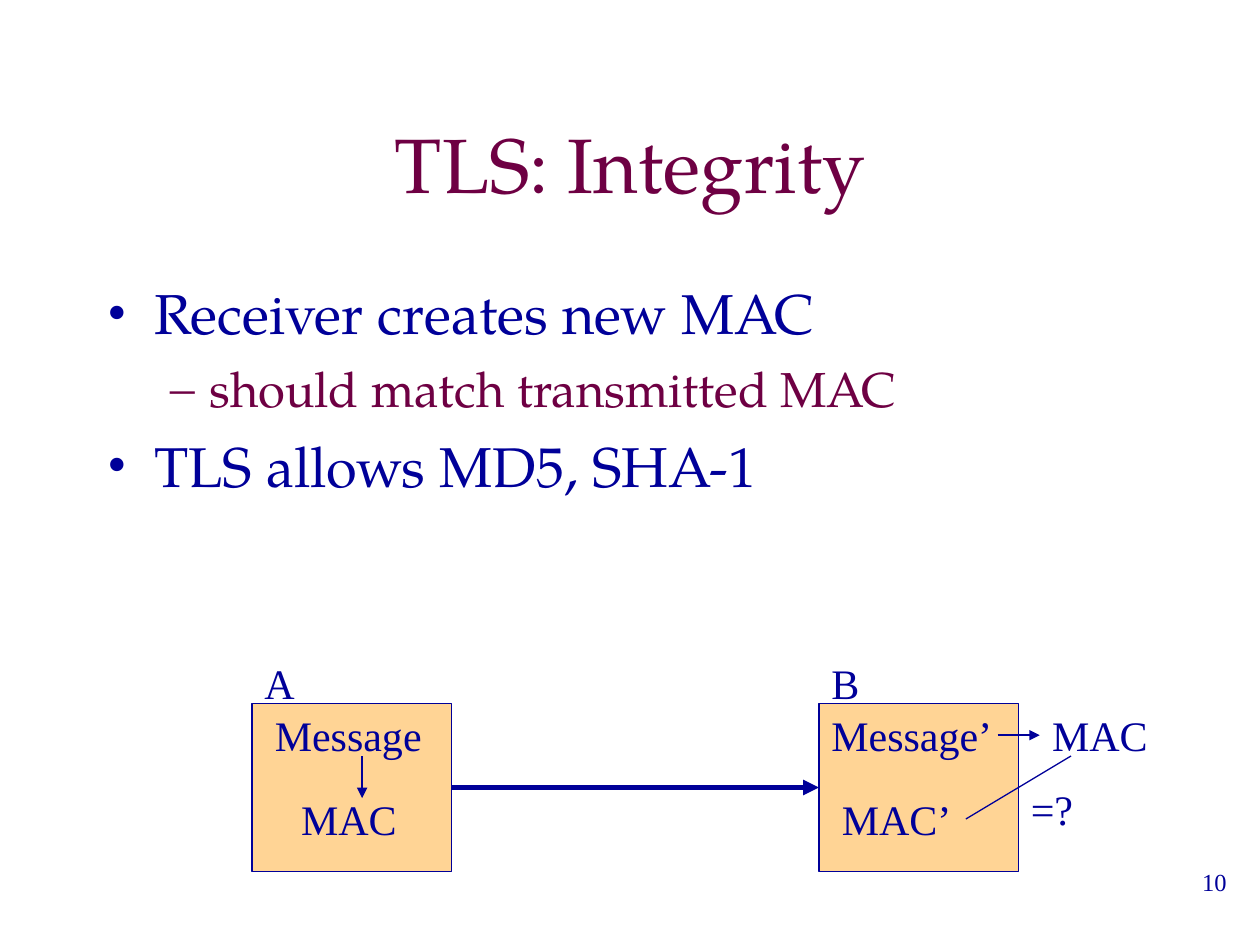
from dataclasses import dataclass

from lxml.etree import SubElement
from pptx import Presentation
from pptx.dml.color import RGBColor
from pptx.enum.shapes import MSO_CONNECTOR, MSO_SHAPE
from pptx.enum.text import MSO_ANCHOR, PP_ALIGN
from pptx.oxml.ns import qn
from pptx.util import Cm, Pt


@dataclass(frozen=True)
class Theme:
    navy: str = "000099"
    plum: str = "6E0043"
    sand: str = "FFD495"
    serif: str = "TeX Gyre Pagella"
    roman: str = "Times New Roman"
    title: int = 44
    point: int = 32
    sub: int = 28
    label: int = 24
    page: int = 14


class Deck:
    def __init__(self, theme):
        self.theme = theme
        self.file = Presentation()
        self.file.slide_width, self.file.slide_height = Cm(25.4), Cm(19.05)
        self.slide = self.file.slides.add_slide(self.file.slide_layouts[6])

    def frame(self, x, y, wide, high, anchor=MSO_ANCHOR.TOP):
        box = self.slide.shapes.add_textbox(Cm(x), Cm(y), Cm(wide), Cm(high))
        frame = box.text_frame
        frame.word_wrap = True
        frame.vertical_anchor = anchor
        return frame

    def run(self, para, text, size, color, font):
        run = para.add_run()
        run.text = text
        run.font.size = Pt(size)
        run.font.name = font
        run.font.color.rgb = RGBColor.from_string(color)

    def title(self, text, x, y, wide, high):
        para = self.frame(x, y, wide, high, MSO_ANCHOR.MIDDLE).paragraphs[0]
        para.alignment = PP_ALIGN.CENTER
        self.run(para, text, self.theme.title, self.theme.plum, self.theme.serif)

    def bullets(self, items, x, y, wide, high):
        t = self.theme
        # Per level: mark, size, color, left margin, hanging indent, space before
        levels = (("•", t.point, t.navy, 0.95, 0.95, 8),
                  ("–", t.sub, t.plum, 2.06, 0.79, 7))
        frame = self.frame(x, y, wide, high)
        for i, (level, text) in enumerate(items):
            mark, size, color, left, hang, gap = levels[level]
            para = frame.add_paragraph() if i else frame.paragraphs[0]
            para.level = level
            para.space_before = Pt(gap)
            self.run(para, text, size, color, t.serif)
            props = para._p.get_or_add_pPr()
            props.set("marL", str(Cm(left)))
            props.set("indent", str(-Cm(hang)))
            tint = SubElement(props, qn("a:buClr"))
            SubElement(tint, qn("a:srgbClr"), val=color)
            SubElement(props, qn("a:buFont"), typeface=t.roman)
            SubElement(props, qn("a:buChar"), char=mark)

    def label(self, text, x, y, wide, size=None, align=PP_ALIGN.LEFT):
        para = self.frame(x, y, wide, 1.27).paragraphs[0]
        para.alignment = align
        self.run(para, text, size or self.theme.label, self.theme.navy,
                 self.theme.roman)

    def block(self, x, y, wide, high):
        box = self.slide.shapes.add_shape(
            MSO_SHAPE.RECTANGLE, Cm(x), Cm(y), Cm(wide), Cm(high))
        box.shadow.inherit = False
        box.fill.solid()
        box.fill.fore_color.rgb = RGBColor.from_string(self.theme.sand)
        box.line.color.rgb = RGBColor.from_string(self.theme.navy)
        box.line.width = Pt(0.75)
        return box

    def line(self, start, end, width, arrow=True):
        link = self.slide.shapes.add_connector(
            MSO_CONNECTOR.STRAIGHT, *map(Cm, start + end))
        link.line.color.rgb = RGBColor.from_string(self.theme.navy)
        link.line.width = Pt(width)
        if arrow:
            SubElement(link.line._ln, qn("a:tailEnd"), type="triangle")
        SubElement(link._element.spPr, qn("a:effectLst"))
        return link

    def save(self):
        self.file.save("out.pptx")


def main():
    theme = Theme()
    deck = Deck(theme)

    # Title and points
    deck.title("TLS: Integrity", 1.91, 1.69, 21.59, 3.18)
    deck.bullets([(0, "Receiver creates new MAC"),
                  (1, "should match transmitted MAC"),
                  (0, "TLS allows MD5, SHA-1")], 1.91, 5.5, 21.59, 11.43)

    # Sender and receiver blocks, joined by an arrow
    left, right, top, wide, high = 5.08, 16.51, 14.18, 4.02, 3.39
    mid = top + high / 2
    ends = []
    for name, x in (("A", left), ("B", right)):
        deck.label(name, x, 13.12, 3.18)
        ends.append(deck.block(x, top, wide, high))
    send = deck.line((left + wide, mid), (right, mid), 3)
    send.begin_connect(ends[0], 3)
    send.end_connect(ends[1], 1)

    # Words in and beside the blocks
    for text, x, y, span in (("Message", 5.29, top, wide),
                             ("MAC", 5.82, mid, 2.96),
                             ("Message’", right, top, wide),
                             ("MAC’", 16.72, mid, 2.96),
                             ("MAC", 20.96, top, 2.96),
                             ("=?", 20.53, 15.66, 1.48)):
        deck.label(text, x, y, span)

    # Hash steps and the final check
    deck.line((7.3, 15.24), (7.3, 16.09), 1.5)
    deck.line((20.11, 14.82), (20.96, 14.82), 1.5)
    deck.line((19.47, 16.51), (21.59, 15.24), 0.75, arrow=False)

    # Page number
    deck.label("10", 19.69, 17.36, 5.29, theme.page, PP_ALIGN.RIGHT)
    deck.save()


if __name__ == "__main__":
    main()
